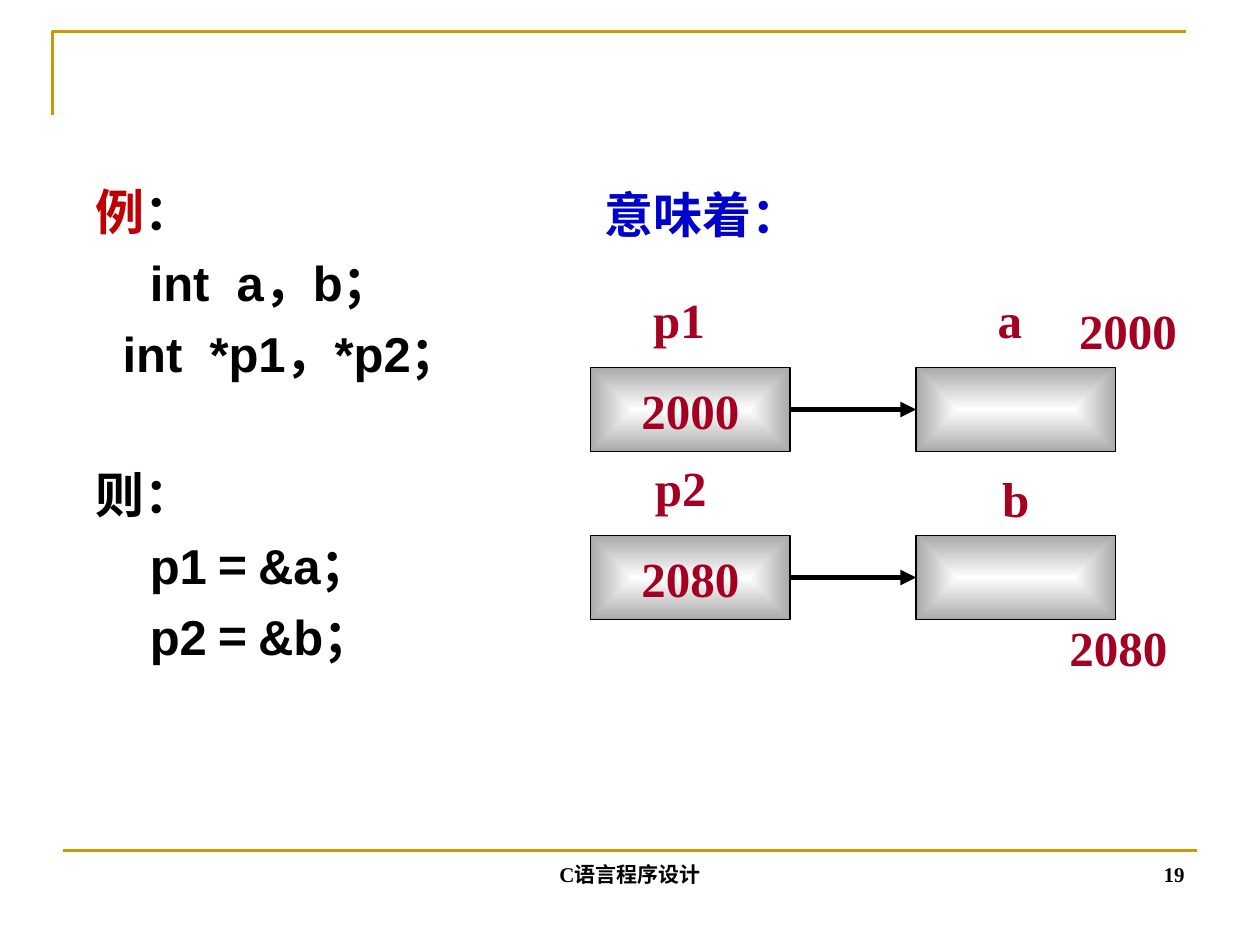
"""Build a slide on C pointers with a memory diagram."""
from dataclasses import dataclass

from lxml.etree import SubElement
from pptx import Presentation
from pptx.dml.color import RGBColor as Color
from pptx.enum.shapes import MSO_CONNECTOR as Connector, MSO_SHAPE as Shape
from pptx.enum.text import MSO_ANCHOR as Anchor, PP_ALIGN as Align
from pptx.oxml import parse_xml
from pptx.oxml.ns import nsdecls, qn
from pptx.util import Pt


@dataclass(frozen=True)
class Theme:
    gold: str = "CC9900"
    black: str = "000000"
    red: str = "C00000"
    blue: str = "0000CC"
    crimson: str = "A50021"
    cell_centre: str = "FFFFFF"
    cell_edge: str = "A9A9A9"
    sans: str = "Arial"
    cjk: str = "Noto Sans CJK SC"
    serif: str = "Times New Roman"
    large: int = 28
    small: int = 12


class Painter:
    def __init__(self, slide, theme):
        self.shapes = slide.shapes
        self.theme = theme

    def style(self, para, face, size, color):
        font = para.font
        font.name, font.size, font.bold = face, Pt(size), True
        font.color.rgb = Color.from_string(color)

    def stroke(self, item, color, width):
        item.line.color.rgb = Color.from_string(color)
        item.line.width = Pt(width)

    def label(self, text, left, top, width, height=41, color=None, size=None,
              align=Align.CENTER, anchor=Anchor.TOP):
        box = self.shapes.add_textbox(Pt(left), Pt(top), Pt(width), Pt(height))
        frame = box.text_frame
        frame.word_wrap, frame.vertical_anchor = True, anchor
        para = frame.paragraphs[0]
        para.text, para.alignment = text, align
        self.style(para, self.theme.serif, size or self.theme.large,
                   color or self.theme.crimson)

    def code(self, lines, left, top, width, height):
        box = self.shapes.add_textbox(Pt(left), Pt(top), Pt(width), Pt(height))
        frame = box.text_frame
        frame.word_wrap = True
        for index, (gap, spans) in enumerate(lines):
            para = frame.add_paragraph() if index else frame.paragraphs[0]
            para.space_before = Pt(gap)
            self.style(para, self.theme.sans, self.theme.large, self.theme.black)
            for text, face, color in spans:
                span = para.add_run()
                span.text = text
                self.style(span, face, self.theme.large, color)

    def cell(self, left, top, width, height, text=""):
        theme = self.theme
        cell = self.shapes.add_shape(
            Shape.RECTANGLE, Pt(left), Pt(top), Pt(width), Pt(height))
        cell.shadow.inherit = False
        gradient = parse_xml(
            f'<a:gradFill {nsdecls("a")} rotWithShape="1"><a:gsLst>'
            f'<a:gs pos="0"><a:srgbClr val="{theme.cell_centre}"/></a:gs>'
            f'<a:gs pos="100000"><a:srgbClr val="{theme.cell_edge}"/></a:gs>'
            '</a:gsLst><a:path path="rect"><a:fillToRect l="50000" t="50000" '
            'r="50000" b="50000"/></a:path></a:gradFill>')
        cell._element.spPr.find(qn("a:prstGeom")).addnext(gradient)
        self.stroke(cell, theme.black, 1)
        if text:
            frame = cell.text_frame
            frame.vertical_anchor = Anchor.MIDDLE
            para = frame.paragraphs[0]
            para.text, para.alignment = text, Align.CENTER
            self.style(para, theme.serif, theme.large, theme.crimson)

    def rule(self, left, right, y, color, width, arrow=False):
        line = self.shapes.add_connector(
            Connector.STRAIGHT, Pt(left), Pt(y), Pt(right), Pt(y))
        self.stroke(line, color, width)
        if arrow:
            SubElement(line.line._get_or_add_ln(), qn("a:tailEnd"), type="triangle")
        SubElement(line._element.spPr, qn("a:effectLst"))

    def corner(self, left, top, width, height):
        builder = self.shapes.build_freeform(Pt(left), Pt(top + height))
        builder.add_line_segments(
            [(Pt(left), Pt(top)), (Pt(left + width), Pt(top))], close=False)
        outline = builder.convert_to_shape()
        outline.shadow.inherit = False
        outline.fill.background()
        self.stroke(outline, self.theme.gold, 1.5)


def main():
    deck = Presentation()
    deck.slide_width, deck.slide_height = Pt(720), Pt(540)
    page = deck.slides.add_slide(deck.slide_layouts[6])
    theme = Theme()
    painter = Painter(page, theme)

    painter.corner(30, 18, 648, 48)
    painter.rule(36, 684, 486, theme.gold, 1.5)

    def sans(text, color=theme.black):
        return text, theme.sans, color

    def cjk(text):
        return text, theme.cjk, theme.black

    painter.code([
        (0, [sans("例", theme.red), sans("：")]),
        (7, [sans("    int  a"), cjk("，"), sans("b"), cjk("；")]),
        (7, [sans("  int  *p1"), cjk("，"), sans("*p2"), cjk("；")]),
        (47, [sans("则：")]),
        (7, [sans("    p1"), cjk(" = "), sans("&a；")]),
        (7, [sans("    p2"), cjk(" = "), sans("&b；")]),
    ], 47.5, 100, 324, 357)

    painter.label("意味着：", 338.5, 102, 132, color=theme.blue, align=Align.LEFT)

    pointer_left, target_left, width, height = 337.5, 523.5, 114, 48
    for row, address in enumerate(("2000", "2080")):
        top = 210 + 96 * row
        painter.cell(pointer_left, top, width, height, address)
        painter.cell(target_left, top, width, height)
        painter.rule(pointer_left + width, target_left, top + height / 2,
                     theme.black, 3, arrow=True)

    for text, left, top, span in (
            ("p1", 349, 162, 78), ("a", 529, 162, 96),
            ("p2", 338, 258, 102), ("b", 535.5, 264, 90)):
        painter.label(text, left, top, span)
    painter.label("2000", 609.5, 168, 74, align=Align.LEFT)
    painter.label("2080", 604, 349.5, 74, align=Align.LEFT)

    painter.label("C语言程序设计", 246, 474.5, 228, 36, theme.black,
                  theme.small, anchor=Anchor.BOTTOM)
    painter.label("19", 516, 474, 168, 36, theme.black, theme.small,
                  Align.RIGHT, Anchor.BOTTOM)
    deck.save("out.pptx")


if __name__ == "__main__":
    main()
